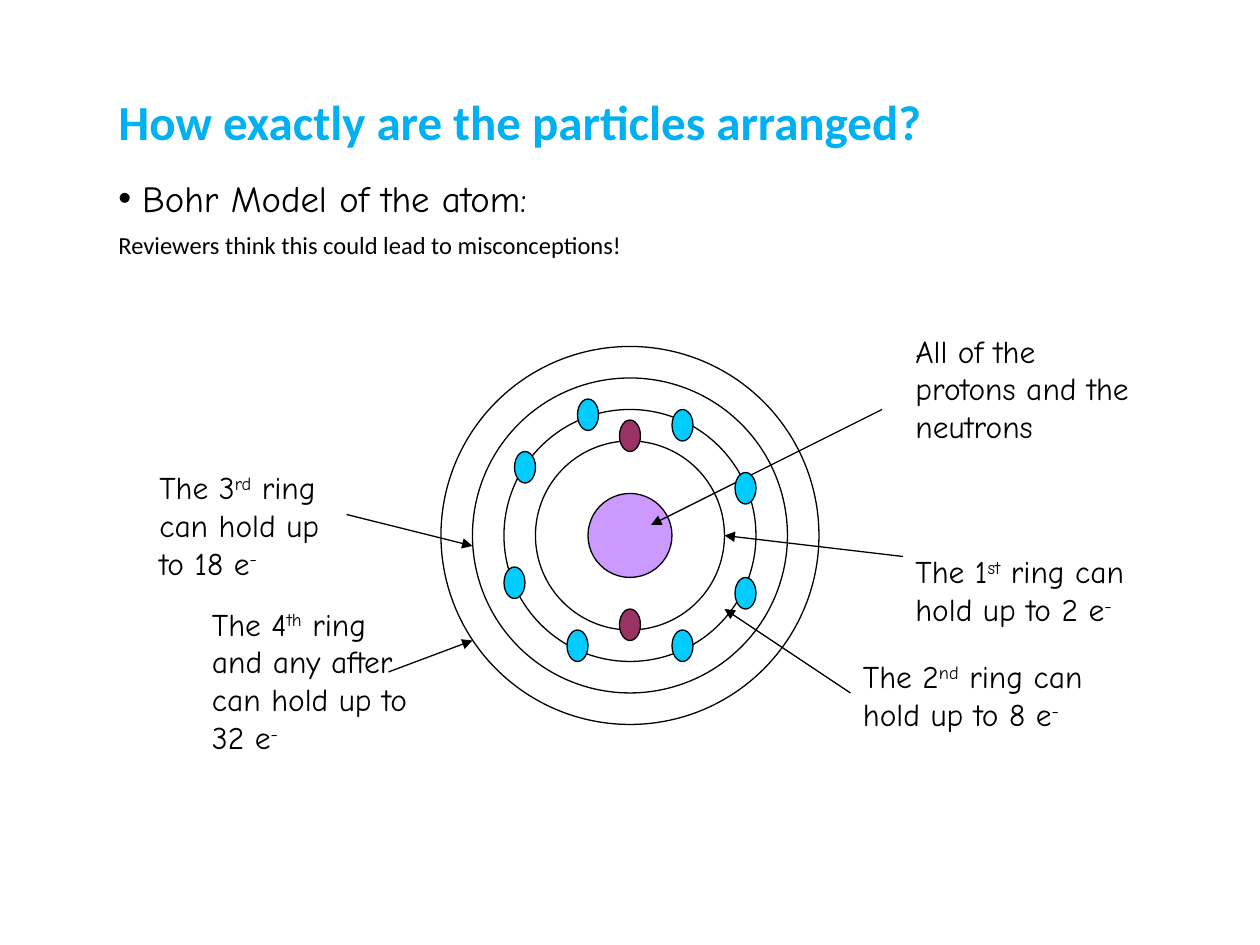
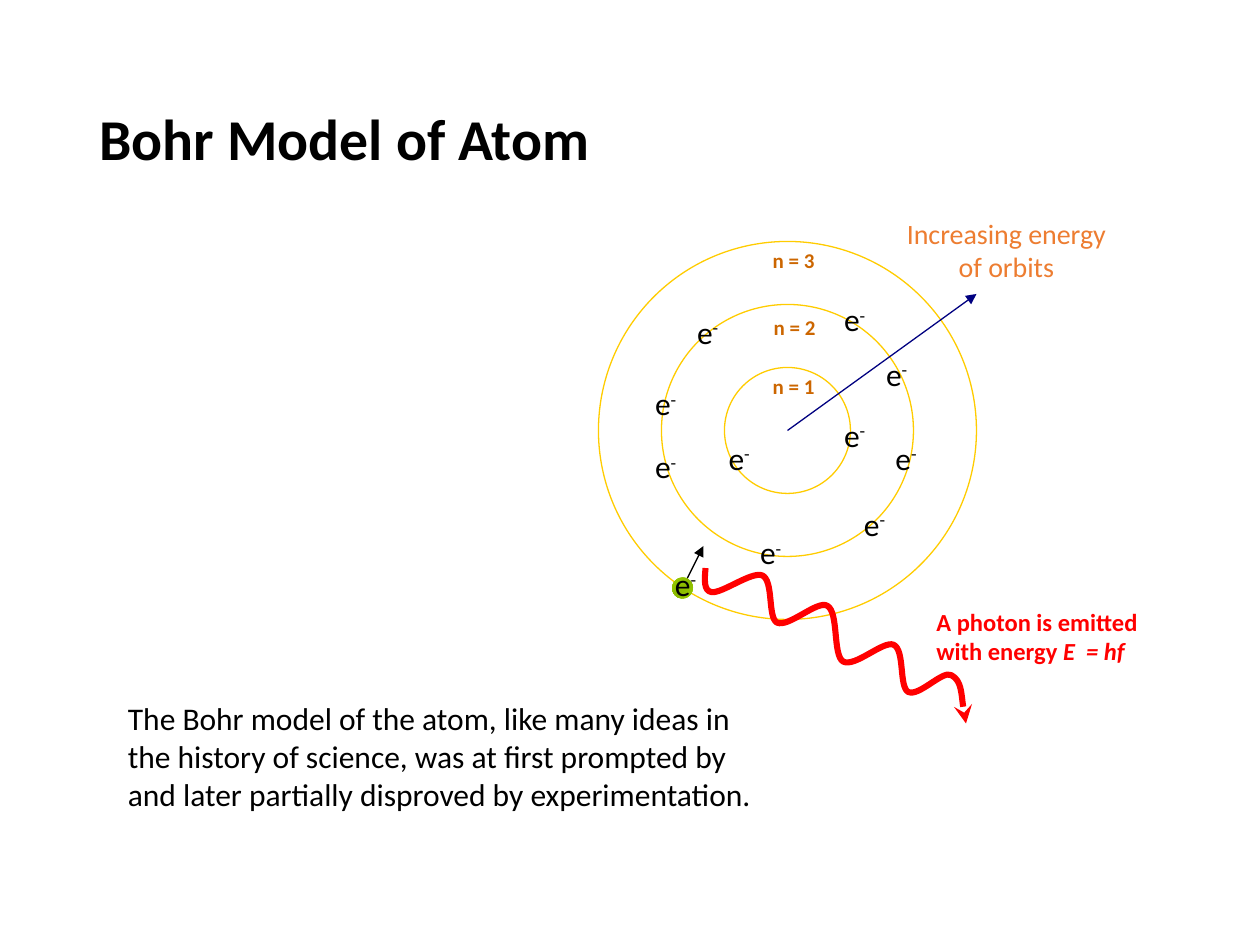
from copy import deepcopy
from pptx import Presentation
from pptx import util as u
from pptx.dml.color import RGBColor
from pptx.enum import shapes, text
from pptx.oxml.ns import qn
from lxml import etree

PX = 7620  # 120 px to the inch
BLACK, RED, GOLD, NAVY = "000000", "FF0000", "FFCC00", "000080"
PLAIN, COMIC = "Calibri", "Comic Neue"

# Text styles
HEAD = dict(name=PLAIN, size=28, color="00B0F0", bold=True)
HEAD2 = dict(HEAD, size=33, color=BLACK)
LEAD = dict(name=COMIC, size=21, color=BLACK)
ASIDE = dict(name=PLAIN, size=14, color=BLACK)
LABEL = dict(LEAD, size=18)
BODY = dict(name=PLAIN, size=18, color=BLACK)
AXIS = dict(name=PLAIN, size=16, color="ED7D31")
LEVEL = dict(name=PLAIN, size=12, color="CC6600", bold=True)
PHOTON = dict(name=PLAIN, size=14, color=RED, bold=True)

# Slide 1: text between ^ marks is raised
ATOM = (600, 510)
RINGS = (90, 120, 150, 180)
CORE = 40
NOTES = [
    ((860, 310, 240, 120), "All of the protons and the neutrons"),
    ((860, 520, 270, 84), "The 1^st^ ring can hold up to 2 e^-"),
    ((810, 620, 280, 84), "The 2^nd^ ring can hold up to 8 e^-"),
    ((140, 440, 190, 120), "The 3^rd^ ring can hold up to 18 e^-"),
    ((190, 570, 220, 156), "The 4^th^ ring and any after can hold up to 32 e^-"),
]
ARROWS = [
    (840, 390, 620, 500),
    (860, 530, 690, 510),
    (810, 660, 690, 580),
    (330, 490, 450, 520),
    (370, 640, 450, 610),
]
SHELLS = {
    "993366": [(590, 580), (590, 400)],
    "00CCFF": [(640, 600), (700, 450), (640, 390), (540, 600),
               (490, 430), (550, 380), (700, 550), (480, 540)],
}

# Slide 2
ORBIT = (750, 410)
LEVELS = {60: (724, 350, "n = 1"), 120: (725, 294, "n = 2"), 180: (724, 230, "n = 3")}
STORY = ["The Bohr model of the atom, like many ideas in",
         "the history of science, was at first prompted by",
         "and later partially disproved by experimentation."]
SPOTS = [(682, 412), (792, 390), (811, 475), (841, 412), (832, 332), (792, 280),
         (612, 420), (652, 292), (612, 360), (712, 502), (631, 532)]
BALL = ("99CC00", "8BBA00", "99CC00")
# Start point, then two handles and an end point for each curve
WAVE = [
    (672, 541), (671, 552), (670, 563), (678, 564),
    (688, 565), (716, 544), (726, 548), (737, 553), (731, 588), (740, 593),
    (751, 598), (779, 571), (788, 577), (799, 583), (793, 624), (803, 630),
    (814, 636), (841, 610), (851, 614), (862, 619), (856, 654), (865, 659),
    (875, 664), (898, 638), (906, 643), (916, 648), (918, 682), (920, 689),
]


def emu(*vals):
    return [v * PX for v in vals]


def rgb(code):
    return RGBColor.from_string(code)


def style(font, look):
    for key, val in look.items():
        if key == "color":
            font.color.rgb = rgb(val)
        else:
            setattr(font, key, u.Pt(val) if key == "size" else val)


def lift(font):
    font._element.set("baseline", "30000")


def slant(font):
    font.italic = True


def fill_para(para, line, look, mark=lift):
    """Write a line, applying mark to each part between ^ signs."""
    for i, part in enumerate(line.split("^")):
        if part:
            run = para.add_run()
            run.text = part
            style(run.font, look)
            if i % 2:
                mark(run.font)


def write(slide, box, lines, look, wrap=True, mark=lift, grow=True, **form):
    """Add a text box; form holds paragraph format values."""
    frame = slide.shapes.add_textbox(*emu(*box)).text_frame
    frame.word_wrap = wrap
    if grow:
        frame.auto_size = text.MSO_AUTO_SIZE.SHAPE_TO_FIT_TEXT
    for i, line in enumerate(lines):
        para = frame.add_paragraph() if i else frame.paragraphs[0]
        for key, val in form.items():
            setattr(para, key, val)
        fill_para(para, line, look, mark)
    return frame


def title(slide, box, line, look):
    frame = write(slide, box, [line], look, grow=False, line_spacing=0.9)
    frame.vertical_anchor = text.MSO_ANCHOR.MIDDLE


def oval(slide, box, fill=None, line=BLACK):
    dot = slide.shapes.add_shape(shapes.MSO_SHAPE.OVAL, *emu(*box))
    dot.shadow.inherit = False
    if fill:
        dot.fill.solid()
        dot.fill.fore_color.rgb = rgb(fill)
    else:
        dot.fill.background()
    if line:
        stroke(dot.line, line)
    else:
        dot.line.fill.background()
    return dot


def ring(slide, mid, rad, **look):
    x, y = mid
    return oval(slide, (x - rad, y - rad, 2 * rad, 2 * rad), **look)


def stroke(line, color, width=0.75, tip=None):
    line.color.rgb = rgb(color)
    line.width = u.Pt(width)
    if tip:
        etree.SubElement(line._get_or_add_ln(), qn("a:tailEnd"), type=tip)


def arrow(slide, ends, color=BLACK):
    link = slide.shapes.add_connector(shapes.MSO_CONNECTOR.STRAIGHT, *emu(*ends))
    stroke(link.line, color, tip="triangle")
    etree.SubElement(link._element.spPr, qn("a:effectLst"))


def shade(dot, codes):
    """Give a shape an even gradient through three colours."""
    dot.fill.gradient()
    dot.fill.gradient_angle = 315
    stops = dot.fill._fill._gradFill.gsLst
    stops.insert(1, deepcopy(stops[0]))
    for i, (stop, code) in enumerate(zip(dot.fill.gradient_stops, codes)):
        stop.position = i / 2
        stop.color.rgb = rgb(code)


def curve(slide, pts):
    """Draw an open outline of cubic curves."""
    pen = slide.shapes.build_freeform(*pts[0], scale=PX)
    pen.add_line_segments(pts[1:], close=False)
    wave = pen.convert_to_shape()
    wave.shadow.inherit = False
    wave.fill.background()
    stroke(wave.line, RED, 3.5, "stealth")
    route = next(wave._element.iter(qn("a:path")))
    legs = route.findall(qn("a:lnTo"))
    for i in range(0, len(legs), 3):
        bend = etree.SubElement(route, qn("a:cubicBezTo"))
        for leg in legs[i:i + 3]:
            bend.append(leg[0])
            route.remove(leg)


def hang(para, bullet=None):
    props = para._p.get_or_add_pPr()
    props.set("marL", "171450")
    props.set("indent", "-171450")
    if bullet:
        etree.SubElement(props, qn("a:buFont"), typeface="Arial")
        etree.SubElement(props, qn("a:buChar"), char=bullet)
    else:
        etree.SubElement(props, qn("a:buNone"))


def rings_slide(slide):
    title(slide, (101, 20, 1060, 197), "How exactly are the particles arranged?", HEAD)
    frame = write(slide, (101, 166, 833, 509), ["Bohr Model of the atom:"], LEAD,
                  grow=False, line_spacing=0.9)
    hang(frame.paragraphs[0], "•")
    para = frame.add_paragraph()
    para.line_spacing, para.space_before = 0.9, u.Pt(7.5)
    hang(para)
    fill_para(para, "Reviewers think this could lead to misconceptions!", ASIDE)

    ring(slide, ATOM, CORE, fill="CC99FF")
    for rad in RINGS:
        ring(slide, ATOM, rad)
    for ends in ARROWS:
        arrow(slide, ends)
    for color, spots in SHELLS.items():
        for spot in spots:
            oval(slide, (*spot, 20, 30), fill=color)
    for box, line in NOTES:
        write(slide, box, [line], LABEL)


def orbits_slide(slide):
    title(slide, (83, 48, 1036, 174), "Bohr Model of Atom", HEAD2)
    write(slide, (110, 660, 690, 120), STORY, BODY)
    for rad in LEVELS:
        ring(slide, ORBIT, rad, line=GOLD)
    arrow(slide, (*ORBIT, 930, 280), NAVY)
    write(slide, (851, 200, 215, 77), ["Increasing energy", "of orbits"], AXIS,
          wrap=False, alignment=text.PP_ALIGN.CENTER)
    for x, y, name in LEVELS.values():
        write(slide, (x, y, 64, 36), [name], LEVEL, wrap=False)
    arrow(slide, (650, 560, 670, 520))
    shade(ring(slide, (650, 560), 10, line=None), BALL)
    curve(slide, WAVE)
    write(slide, (880, 572, 216, 68), ["A photon is emitted", "with energy ^E  = hf"],
          PHOTON, wrap=False, mark=slant)
    for spot in SPOTS:
        write(slide, (*spot, 44, 48), ["e^-"], BODY, wrap=False)


def main():
    deck = Presentation()
    deck.slide_width, deck.slide_height = emu(1200, 900)
    for draw in (rings_slide, orbits_slide):
        draw(deck.slides.add_slide(deck.slide_layouts[6]))
    deck.save("out.pptx")


if __name__ == "__main__":
    main()
